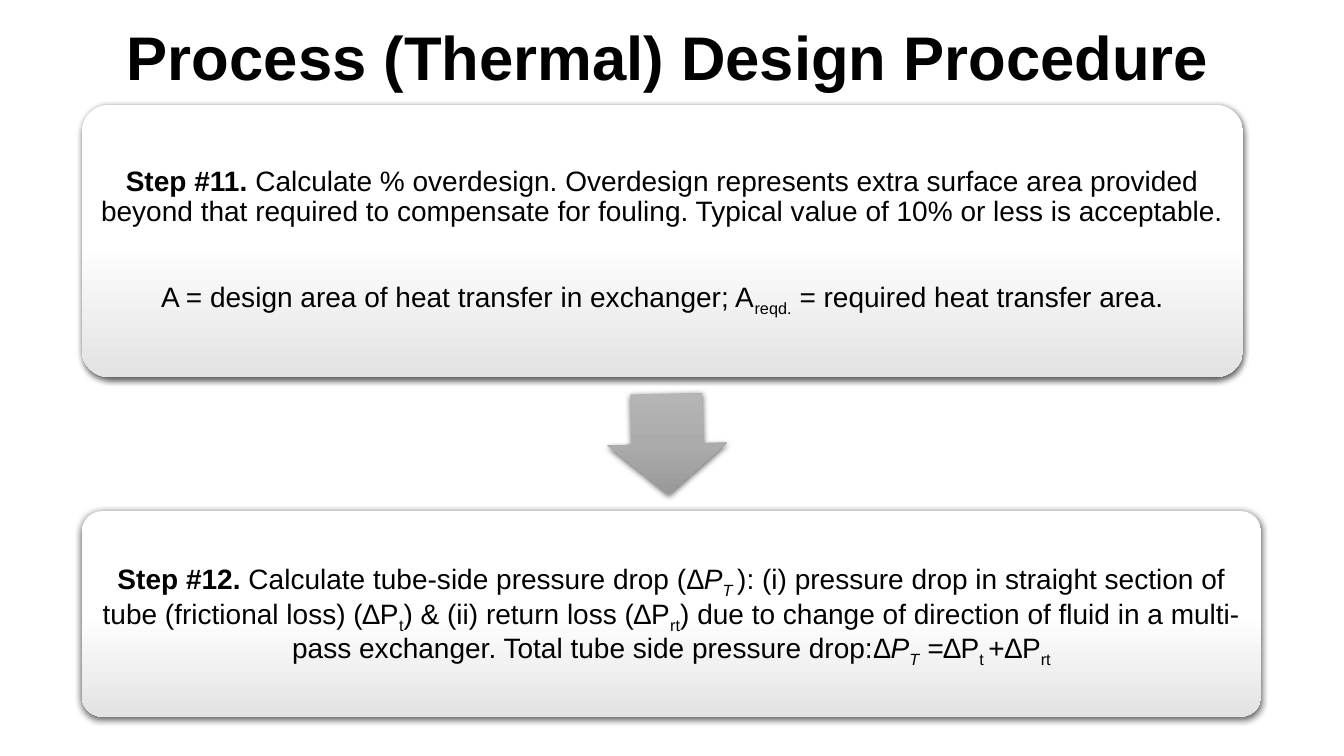
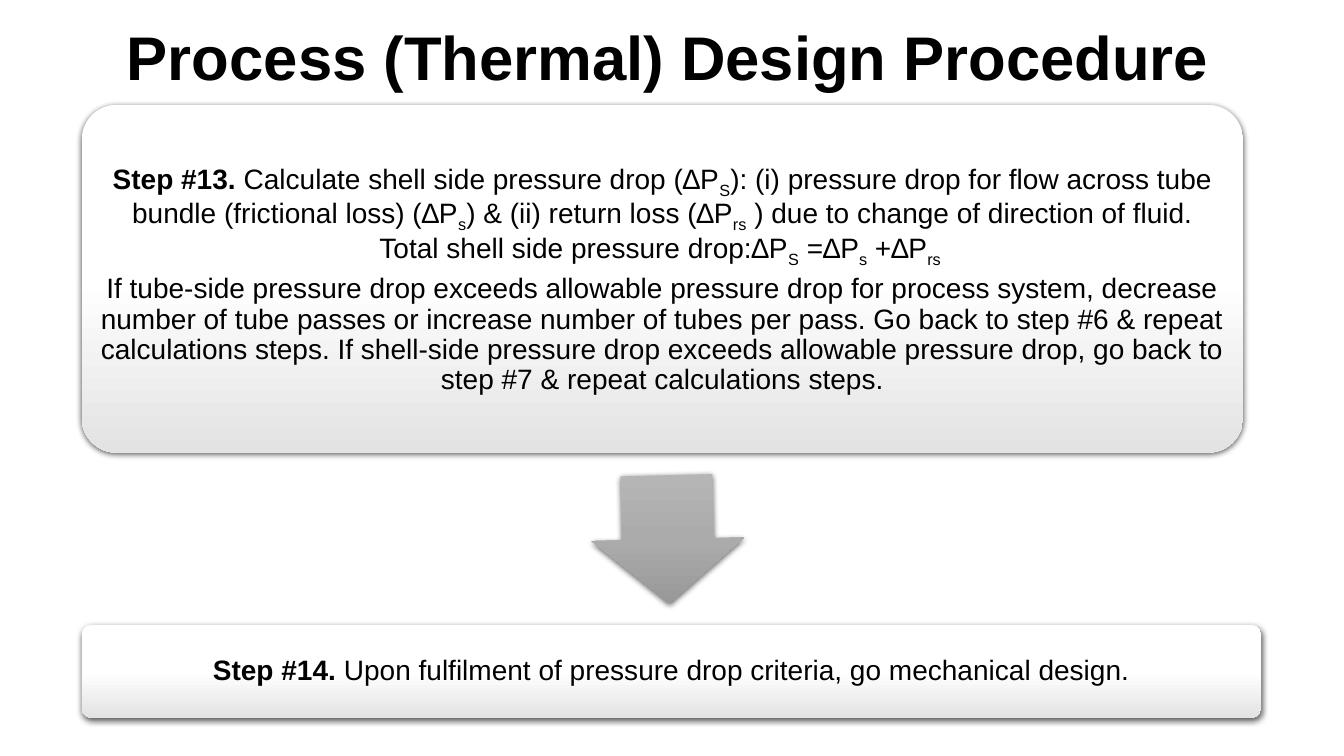
import pptx
import pptx.util
import pptx.dml.color
import pptx.enum.shapes
import pptx.enum.text
import pptx.oxml

Inches = pptx.util.Inches
Pt = pptx.util.Pt
RGBColor = pptx.dml.color.RGBColor
Shape = pptx.enum.shapes.MSO_SHAPE
CENTER = pptx.enum.text.PP_ALIGN.CENTER
MIDDLE = pptx.enum.text.MSO_ANCHOR.MIDDLE

BLACK = RGBColor(0x00, 0x00, 0x00)
WHITE = RGBColor(0xFF, 0xFF, 0xFF)
PALE_GRAY = RGBColor(0xE3, 0xE3, 0xE3)
LIGHT_GRAY = RGBColor(0xB5, 0xB5, 0xB5)
MID_GRAY = RGBColor(0xAB, 0xAB, 0xAB)
DARK_GRAY = RGBColor(0x98, 0x98, 0x98)
BOX_SHADES = (WHITE, WHITE, PALE_GRAY)
ARROW_SHADES = (LIGHT_GRAY, MID_GRAY, DARK_GRAY)

FONT = "Arial"
TITLE = "Process (Thermal) Design Procedure "
NAMESPACE = 'xmlns:a="http://schemas.openxmlformats.org/drawingml/2006/main"'
BOX_LEFT = 0.81

PLAIN, BOLD, ITALIC, SUB, ITALIC_SUB = "", "b", "i", "s", "is"

STEP_11 = [
    [("Step #11. ", BOLD),
     ("Calculate % overdesign. Overdesign represents extra surface area provided beyond that "
      "required to compensate for fouling. Typical value of 10% or less is acceptable.", PLAIN)],
    [("A = design area of heat transfer in exchanger; A", PLAIN), ("reqd.", SUB),
     (" = required heat transfer area.", PLAIN)],
]
STEP_12 = [
    [("Step #12.", BOLD), (" Calculate tube-side pressure drop (", PLAIN),
     ("∆P", ITALIC), ("T ", ITALIC_SUB),
     ("): (i) pressure drop in straight section of tube (frictional loss) (∆P", PLAIN), ("t", SUB),
     (") & (ii) return loss (∆P", PLAIN), ("rt", SUB),
     (") due to change of direction of fluid in a multi-pass exchanger. "
      "Total tube side pressure drop:", PLAIN),
     ("∆P", ITALIC), ("T", ITALIC_SUB), (" =", ITALIC), ("∆P", PLAIN), ("t ", SUB),
     ("+∆P", PLAIN), ("rt", SUB)],
]
STEP_13 = [
    [("Step #13. ", BOLD), ("Calculate shell side pressure drop (∆P", PLAIN), ("S", SUB),
     ("): (i) pressure drop for flow across tube bundle (frictional loss) (∆P", PLAIN), ("s", SUB),
     (") & (ii) return loss (∆P", PLAIN), ("rs", SUB),
     (" ) due to change of direction of fluid. Total shell side pressure drop:∆P", PLAIN),
     ("S", SUB), (" =∆P", PLAIN), ("s", SUB), (" +∆P", PLAIN), ("rs ", SUB)],
    [("If tube-side pressure drop exceeds allowable pressure drop for process system, decrease "
      "number of tube passes or increase number of tubes per pass. Go back to step #6 & repeat "
      "calculations steps. If shell-side pressure drop exceeds allowable pressure drop, go back "
      "to step #7 & repeat calculations steps.", PLAIN)],
]
STEP_14 = [
    [("Step #14. ", BOLD),
     ("Upon fulfilment of pressure drop criteria, go mechanical design.", PLAIN)],
]

PAGES = [
    {"boxes": [(1.04, 11.52, 2.7, STEP_11, 30.5), (5.07, 11.7, 2.04, STEP_12, 0)],
     "arrow": (6.12, 3.81, 1, 1.19)},
    {"boxes": [(1.04, 11.52, 3.45, STEP_13, 0), (6.2, 11.7, 0.92, STEP_14, 0)],
     "arrow": (5.99, 4.59, 1.27, 1.52)},
]


def add_shaded_shape(page, kind, left, top, width, height, shades):
    shape = page.shapes.add_shape(kind, Inches(left), Inches(top), Inches(width), Inches(height))
    shape.line.fill.background()
    stops = "".join(
        f'<a:gs pos="{index * 50000}"><a:srgbClr val="{shade}"/></a:gs>'
        for index, shade in enumerate(shades))
    gradient = pptx.oxml.parse_xml(
        f'<a:gradFill {NAMESPACE} rotWithShape="0"><a:gsLst>{stops}</a:gsLst>'
        '<a:lin ang="5400000" scaled="0"/></a:gradFill>')
    shadow = pptx.oxml.parse_xml(
        f'<a:effectLst {NAMESPACE}><a:outerShdw blurRad="{Pt(4.5)}" dist="{Pt(1.5)}" '
        'dir="5400000" algn="ctr" rotWithShape="0"><a:srgbClr val="000000">'
        '<a:alpha val="63000"/></a:srgbClr></a:outerShdw></a:effectLst>')
    properties = shape._element.spPr
    properties.insert(2, gradient)
    properties.append(shadow)
    return shape


def format_paragraph(para, size):
    para.alignment = CENTER
    para.line_spacing = 0.9
    para.font.name = FONT
    para.font.size = Pt(size)
    para.font.color.rgb = BLACK


deck = pptx.Presentation()
deck.slide_width = Inches(13.33)
deck.slide_height = Inches(7.5)

for content in PAGES:
    page = deck.slides.add_slide(deck.slide_layouts[5])
    title = page.shapes.title
    title.left, title.top = Inches(0.92), Inches(0)
    title.width, title.height = Inches(11.59), Inches(1.2)
    title.text_frame.text = TITLE
    title.text_frame.vertical_anchor = MIDDLE
    format_paragraph(title.text_frame.paragraphs[0], 44)
    title.text_frame.paragraphs[0].font.bold = True

    for top, width, height, step, gap in content["boxes"]:
        box = add_shaded_shape(page, Shape.ROUNDED_RECTANGLE, BOX_LEFT, top, width, height, BOX_SHADES)
        box.adjustments[0] = 0.1
        frame = box.text_frame
        frame.word_wrap = True
        frame.vertical_anchor = MIDDLE
        frame.margin_left = frame.margin_right = Inches(0.08)
        frame.margin_top = frame.margin_bottom = Inches(0.08)
        for index, pieces in enumerate(step):
            para = frame.add_paragraph() if index else frame.paragraphs[0]
            format_paragraph(para, 20)
            para.space_after = Pt(7)
            if index and gap:
                para.space_before = Pt(gap)
            for text, style in pieces:
                span = para.add_run()
                span.text = text
                if "b" in style:
                    span.font.bold = True
                if "i" in style:
                    span.font.italic = True
                if "s" in style:
                    span.font._element.set("baseline", "-25000")

    arrow = add_shaded_shape(page, Shape.RIGHT_ARROW, *content["arrow"], ARROW_SHADES)
    arrow.adjustments[0] = 0.6
    arrow.adjustments[1] = 0.5
    arrow.rotation = 88.6

deck.save("out.pptx")
